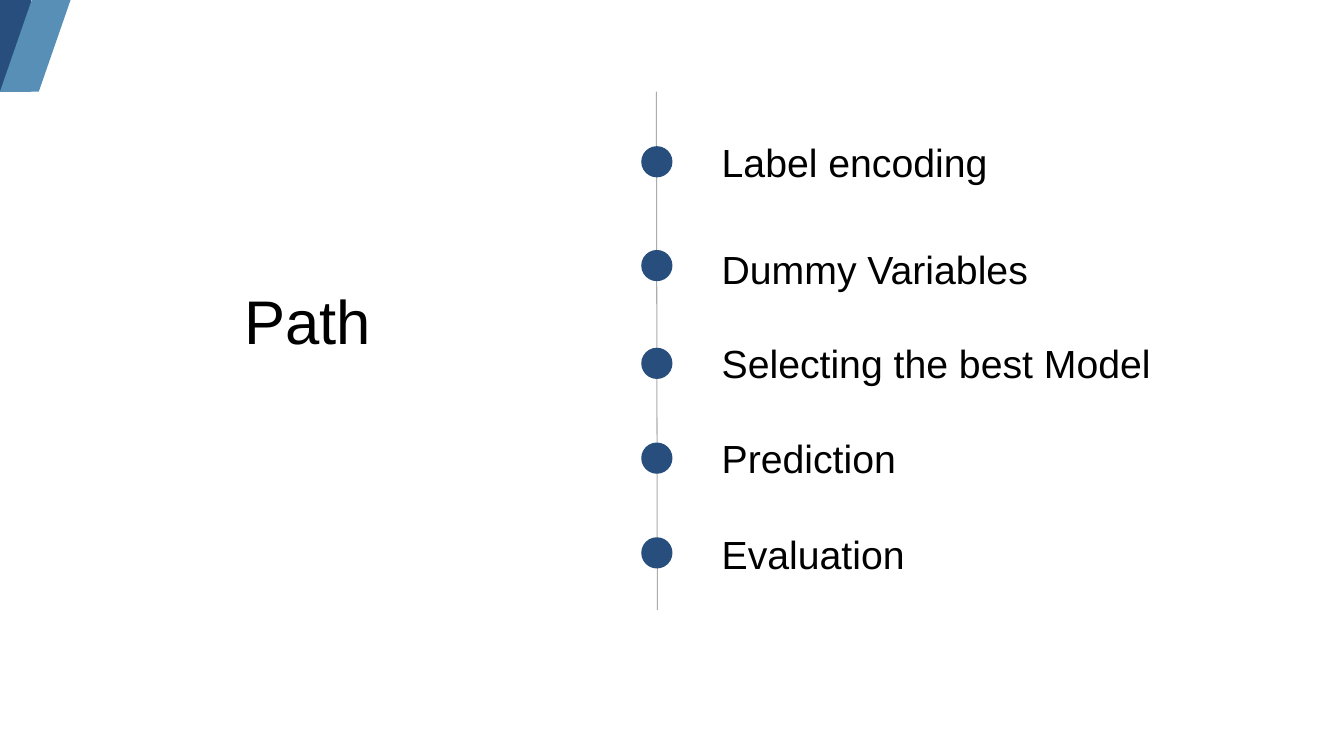
from lxml import etree
from pptx import Presentation
from pptx import util as u
from pptx.dml.color import RGBColor
from pptx.enum import shapes, text
from pptx.oxml.ns import qn

NAVY, SKY, GREY, BLACK = "284E7D", "578FB7", "AEABAB", "000000"


def add_filled_shape(kind, left, top, width, height, color):
    shape = slide.shapes.add_shape(
        kind, u.Inches(left), u.Inches(top), u.Inches(width), u.Inches(height))
    shape.shadow.inherit = False
    shape.fill.solid()
    shape.fill.fore_color.rgb = RGBColor.from_string(color)
    shape.line.fill.background()
    return shape


def write_text(shape, wording, size):
    frame = shape.text_frame
    frame.word_wrap = True
    frame.auto_size = text.MSO_AUTO_SIZE.NONE
    frame.vertical_anchor = text.MSO_ANCHOR.TOP
    paragraph = frame.paragraphs[0]
    paragraph.text = wording
    paragraph.alignment = text.PP_ALIGN.LEFT
    paragraph.font.name = "Arial"
    paragraph.font.size = u.Pt(size)
    paragraph.font.color.rgb = RGBColor.from_string(BLACK)


presentation = Presentation()
presentation.slide_width = u.Inches(13.33)
presentation.slide_height = u.Inches(7.5)
slide = presentation.slides.add_slide(presentation.slide_layouts[5])

# Corner decoration
add_filled_shape(shapes.MSO_SHAPE.RECTANGLE, 0, 0, 0.31, 0.91, NAVY)
slant = add_filled_shape(shapes.MSO_SHAPE.PARALLELOGRAM, 0, 0, 0.7, 0.91, SKY)
slant.adjustments[0] = 0.45

# Title
title = slide.shapes.title
title.left, title.top = u.Inches(2.32), u.Inches(2.76)
title.width, title.height = u.Inches(1.88), u.Inches(0.84)
write_text(title, "Path", 44)

# Timeline
timeline = slide.shapes.add_connector(
    shapes.MSO_CONNECTOR.STRAIGHT,
    u.Inches(6.51), u.Inches(0.91), u.Inches(6.52), u.Inches(6.05))
timeline.line.color.rgb = RGBColor.from_string(GREY)
timeline.line.width = u.Pt(0.75)
etree.SubElement(timeline._element.spPr, qn("a:effectLst"))

# Steps: wording, dot top, label top
steps = [
    ("Label encoding", 1.45, 1.32),
    ("Dummy Variables", 2.48, 2.38),
    ("Selecting the best Model", 3.45, 3.32),
    ("Prediction", 4.39, 4.26),
    ("Evaluation", 5.33, 5.21),
]
for wording, dot_top, label_top in steps:
    add_filled_shape(shapes.MSO_SHAPE.OVAL, 6.36, dot_top, 0.31, 0.31, NAVY)
    label = slide.shapes.add_textbox(
        u.Inches(7.06), u.Inches(label_top), u.Inches(4.7), u.Inches(0.57))
    write_text(label, wording, 28)

presentation.save("out.pptx")
